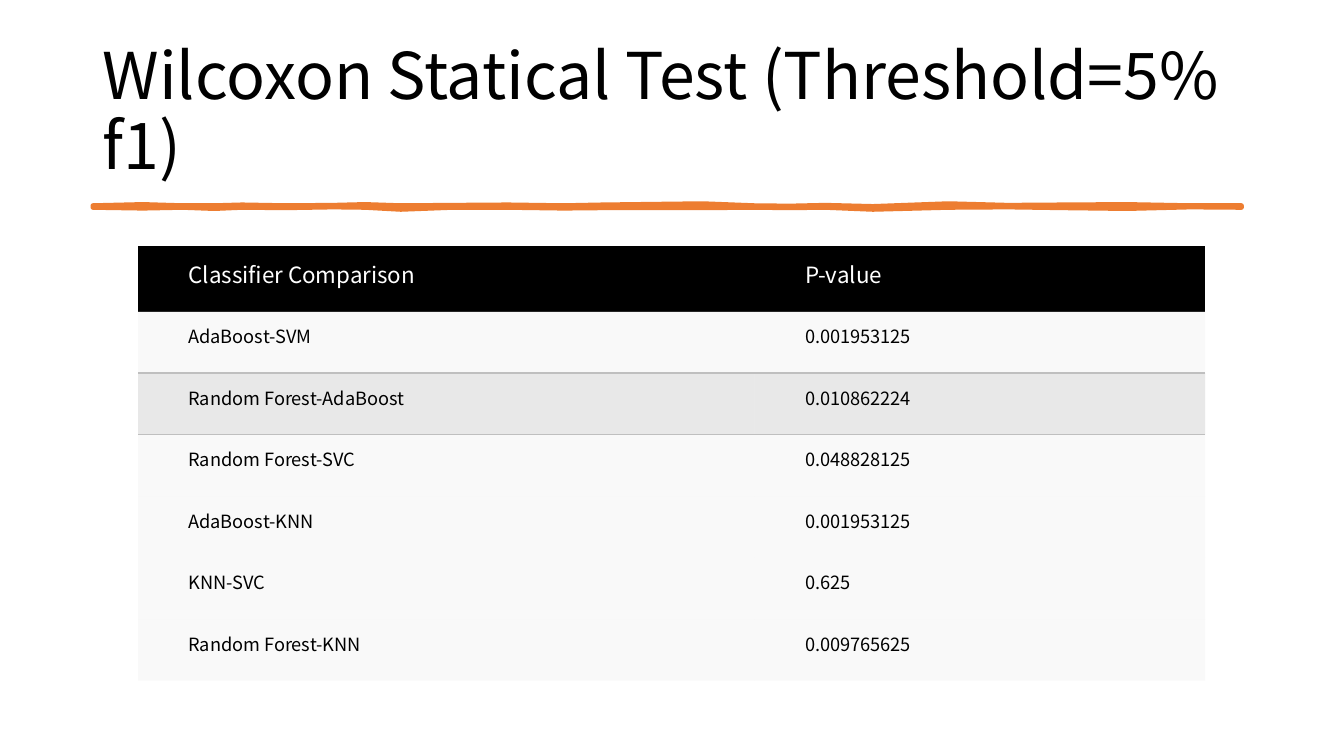
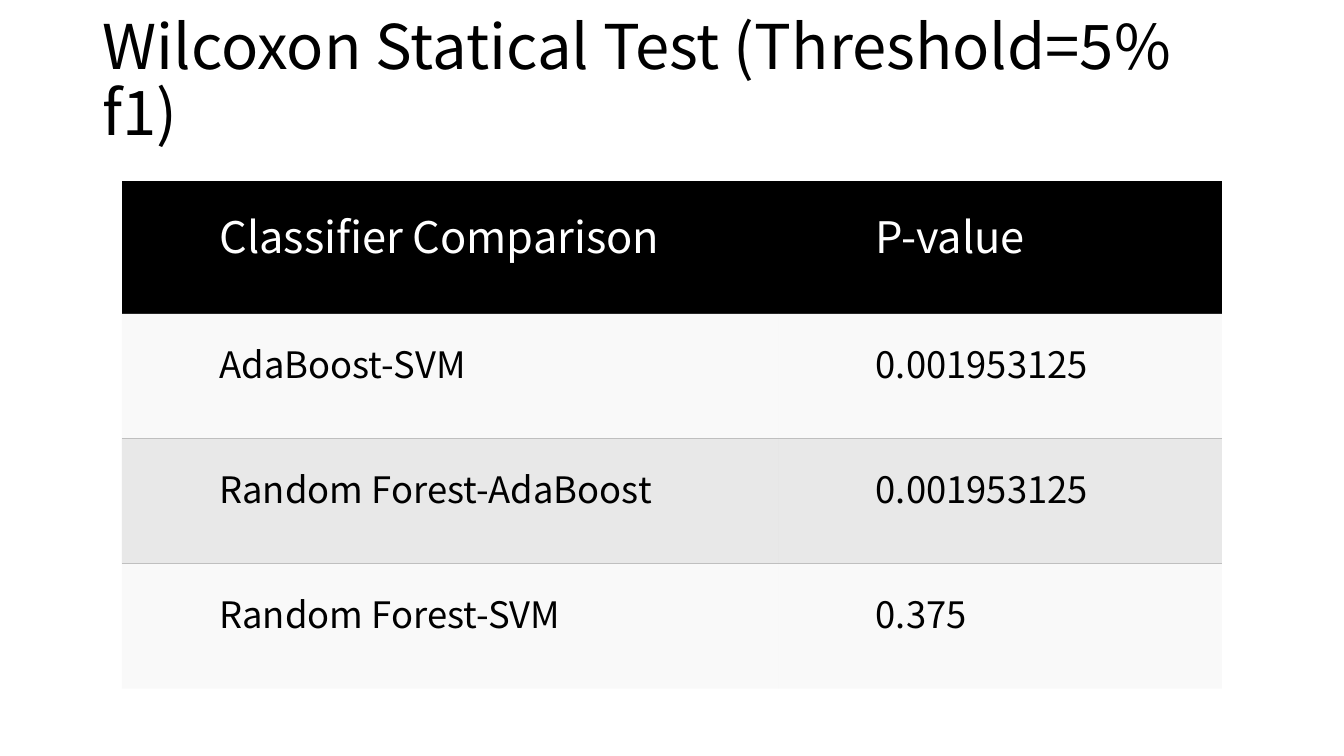
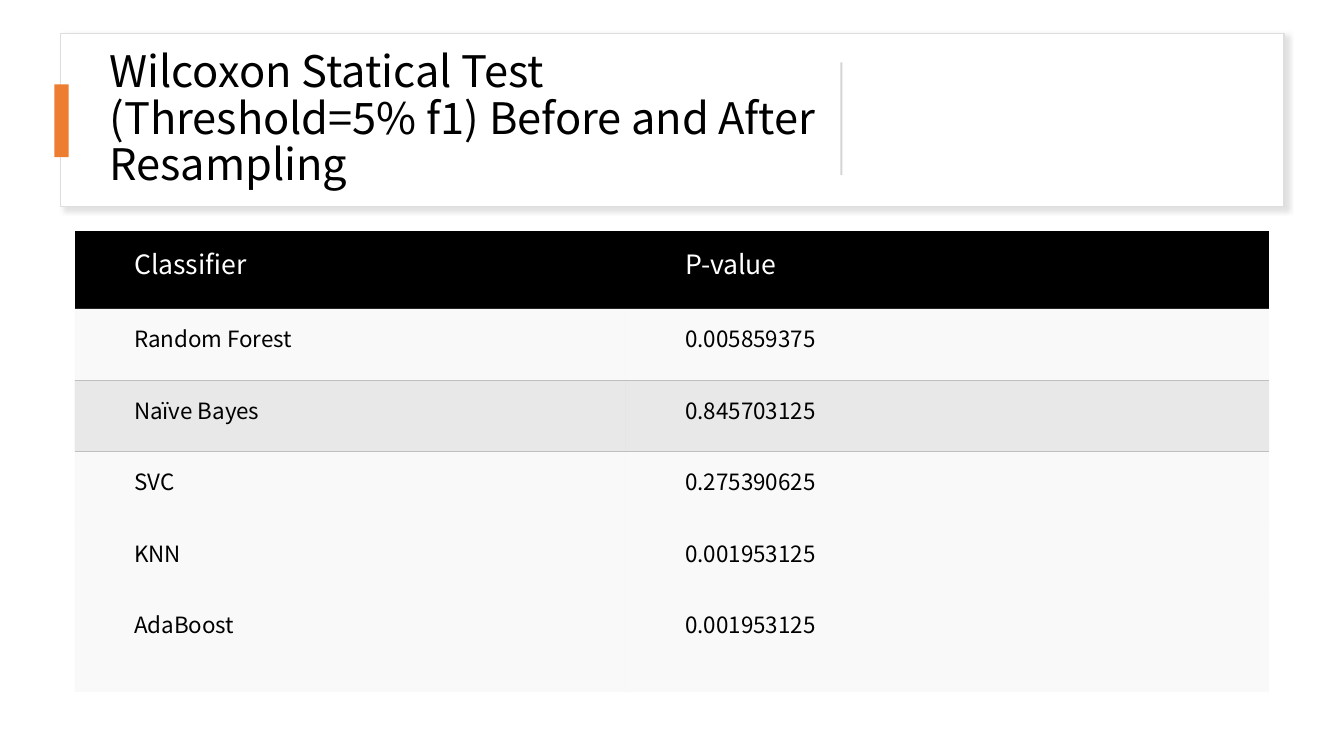
from lxml.etree import SubElement
from pptx import Presentation
from pptx.dml.color import RGBColor
from pptx.enum.shapes import MSO_SHAPE
from pptx.enum.text import MSO_ANCHOR
from pptx.oxml import parse_xml
from pptx.oxml.ns import nsdecls, qn
from pptx.util import Cm, Pt

FONT = "Noto Sans CJK SC"
BLACK = RGBColor(0x00, 0x00, 0x00)
WHITE = RGBColor(0xFF, 0xFF, 0xFF)
ORANGE = RGBColor(0xED, 0x7D, 0x31)
LIGHT = RGBColor(0xF2, 0xF2, 0xF2)
GREY = RGBColor(0xBF, 0xBF, 0xBF)
CARD_EDGE = RGBColor(0xDE, 0xDE, 0xDE)
DIVIDER = RGBColor(0xD5, 0xD5, 0xD5)
SHADOW = RGBColor(0xC5, 0xC3, 0xC3)
NO_STYLE = "{2D5ABB26-0587-4C30-8999-92F81FD0307C}"

BRUSH = [
    (2.34, 5.18, 5.23), (3.6, 5.15, 5.25), (4.6, 5.18, 5.23),
    (5.4, 5.18, 5.26), (6.1, 5.16, 5.23), (7.2, 5.18, 5.24),
    (8.4, 5.17, 5.22), (9.2, 5.15, 5.23), (10.1, 5.18, 5.28),
    (11.4, 5.17, 5.23), (12.8, 5.16, 5.23), (14.2, 5.18, 5.25),
    (15.2, 5.16, 5.24), (17.7, 5.13, 5.24), (19, 5.18, 5.23),
    (19.9, 5.19, 5.24), (20.8, 5.17, 5.23), (22, 5.2, 5.28),
    (23.9, 5.13, 5.23), (25.4, 5.17, 5.22), (26.8, 5.16, 5.24),
    (28.4, 5.15, 5.26), (30, 5.18, 5.22), (31.29, 5.18, 5.23),
]


def add_run(p, text, size, color):
    r = p.add_run()
    r.text = text
    r.font.name = FONT
    r.font.size = Pt(size)
    r.font.color.rgb = color


def add_title(s, box, text, size):
    tf = s.shapes.add_textbox(*map(Cm, box)).text_frame
    tf.word_wrap = True
    tf.vertical_anchor = MSO_ANCHOR.MIDDLE
    p = tf.paragraphs[0]
    p.line_spacing = 0.9
    add_run(p, text, size, BLACK)


def add_rect(s, box, fill, edge=None):
    sp = s.shapes.add_shape(MSO_SHAPE.RECTANGLE, *map(Cm, box))
    sp.shadow.inherit = False
    sp.fill.solid()
    sp.fill.fore_color.rgb = fill
    if edge is None:
        sp.line.fill.background()
    else:
        sp.line.color.rgb = edge
        sp.line.width = Pt(1)
    return sp


def add_shadow(sp):
    effects = sp._element.spPr.find(qn("a:effectLst"))
    effects.append(parse_xml(
        f'<a:outerShdw {nsdecls("a")} blurRad="{Pt(4)}" dist="{Pt(3)}" '
        f'dir="2700000" algn="tl" rotWithShape="0"><a:srgbClr val="{SHADOW}">'
        '<a:alpha val="50000"/></a:srgbClr></a:outerShdw>'))


def add_brush_line(s):
    top = [(Cm(x), Cm(y)) for x, y, _ in BRUSH]
    bottom = [(Cm(x), Cm(y)) for x, _, y in reversed(BRUSH)]
    fb = s.shapes.build_freeform(*top[0])
    fb.add_line_segments(top[1:] + bottom, close=True)
    sp = fb.convert_to_shape()
    sp.shadow.inherit = False
    sp.fill.solid()
    sp.fill.fore_color.rgb = ORANGE
    sp.line.color.rgb = ORANGE
    sp.line.width = Pt(3.25)
    SubElement(sp.line._get_or_add_ln(), qn("a:round"))


def fill_cell(cell, color, alpha=None):
    cell.fill.solid()
    cell.fill.fore_color.rgb = color
    if alpha:
        clr = cell._tc.tcPr.find(".//" + qn("a:srgbClr"))
        SubElement(clr, qn("a:alpha")).set("val", str(alpha * 1000))


def add_border(cell, side):
    cell._tc.tcPr.insert(0, parse_xml(
        f'<a:{side} {nsdecls("a")} w="{Pt(1)}"><a:solidFill>'
        f'<a:srgbClr val="{GREY}"/></a:solidFill></a:{side}>'))


def style_cell(cell, i):
    if i == 0:
        cell.vertical_anchor = MSO_ANCHOR.MIDDLE
        fill_cell(cell, BLACK)
    elif i == 2:
        fill_cell(cell, GREY, 35)
        add_border(cell, "lnT")
    else:
        fill_cell(cell, LIGHT, 45)
        if i == 1:
            add_border(cell, "lnB")


def add_results(s, left, top, widths, heights, margins, sizes, rows):
    frame = s.shapes.add_table(len(rows), len(widths), Cm(left), Cm(top),
                               Cm(sum(widths)), Cm(sum(heights)))
    tbl = frame.table
    tbl.first_row = tbl.horz_banding = False
    tbl._tbl.tblPr.find(qn("a:tableStyleId")).text = NO_STYLE
    for col, width in zip(tbl.columns, widths):
        col.width = Cm(width)
    for i, (row, height, texts) in enumerate(zip(tbl.rows, heights, rows)):
        row.height = Cm(height)
        for cell, text in zip(row.cells, texts):
            (cell.margin_left, cell.margin_top,
             cell.margin_right, cell.margin_bottom) = map(Cm, margins)
            style_cell(cell, i)
            add_run(cell.text_frame.paragraphs[0], text, sizes[min(i, 1)],
                    BLACK if i else WHITE)


def add_all_pairs(s):
    add_title(s, (2.34, 1.02, 29.21, 3.68),
              "Wilcoxon Statical Test (Threshold=5% f1)", 46)
    add_brush_line(s)
    add_results(s, 3.48, 6.2, (15.54, 11.35), [1.65] + [1.55] * 6,
                (1.27, 0.28, 1.35, 0.64), (16, 13), [
                    ("Classifier Comparison", "P-value"),
                    ("AdaBoost-SVM", "0.001953125"),
                    ("Random Forest-AdaBoost", "0.010862224"),
                    ("Random Forest-SVC", "0.048828125"),
                    ("AdaBoost-KNN", "0.001953125"),
                    ("KNN-SVC", "0.625"),
                    ("Random Forest-KNN", "0.009765625"),
                ])


def add_three_pairs(s):
    add_title(s, (2.34, 0.69, 29.18, 2.79),
              "Wilcoxon Statical Test (Threshold=5% f1)", 44)
    add_results(s, 3.07, 4.57, (16.54, 11.18), [3.33] + [3.15] * 3,
                (2.46, 0.56, 2.62, 1.24), (31, 26), [
                    ("Classifier Comparison", "P-value"),
                    ("AdaBoost-SVM", "0.001953125"),
                    ("Random Forest-AdaBoost", "0.001953125"),
                    ("Random Forest-SVM", "0.375"),
                ])


def add_resampling(s):
    add_shadow(add_rect(s, (1.52, 0.84, 30.84, 4.37), WHITE, CARD_EDGE))
    add_title(s, (2.51, 1.12, 18.69, 3.81),
              "Wilcoxon Statical Test (Threshold=5% f1) "
              "Before and After Resampling", 31)
    add_rect(s, (1.37, 2.13, 0.36, 1.83), ORANGE)
    add_rect(s, (21.18, 1.57, 0.05, 2.84), DIVIDER)
    add_results(s, 1.88, 5.82, (13.89, 16.21), [1.96] + [1.8] * 4 + [2.46],
                (1.5, 0.33, 1.57, 0.74), (19, 16), [
                    ("Classifier", "P-value"),
                    ("Random Forest", "0.005859375"),
                    ("Naïve Bayes", "0.845703125"),
                    ("SVC", "0.275390625"),
                    ("KNN", "0.001953125"),
                    ("AdaBoost", "0.001953125"),
                ])


def main():
    prs = Presentation()
    prs.slide_width, prs.slide_height = Cm(33.87), Cm(19.05)
    for build in (add_all_pairs, add_three_pairs, add_resampling):
        build(prs.slides.add_slide(prs.slide_layouts[6]))
    prs.save("out.pptx")


if __name__ == "__main__":
    main()
